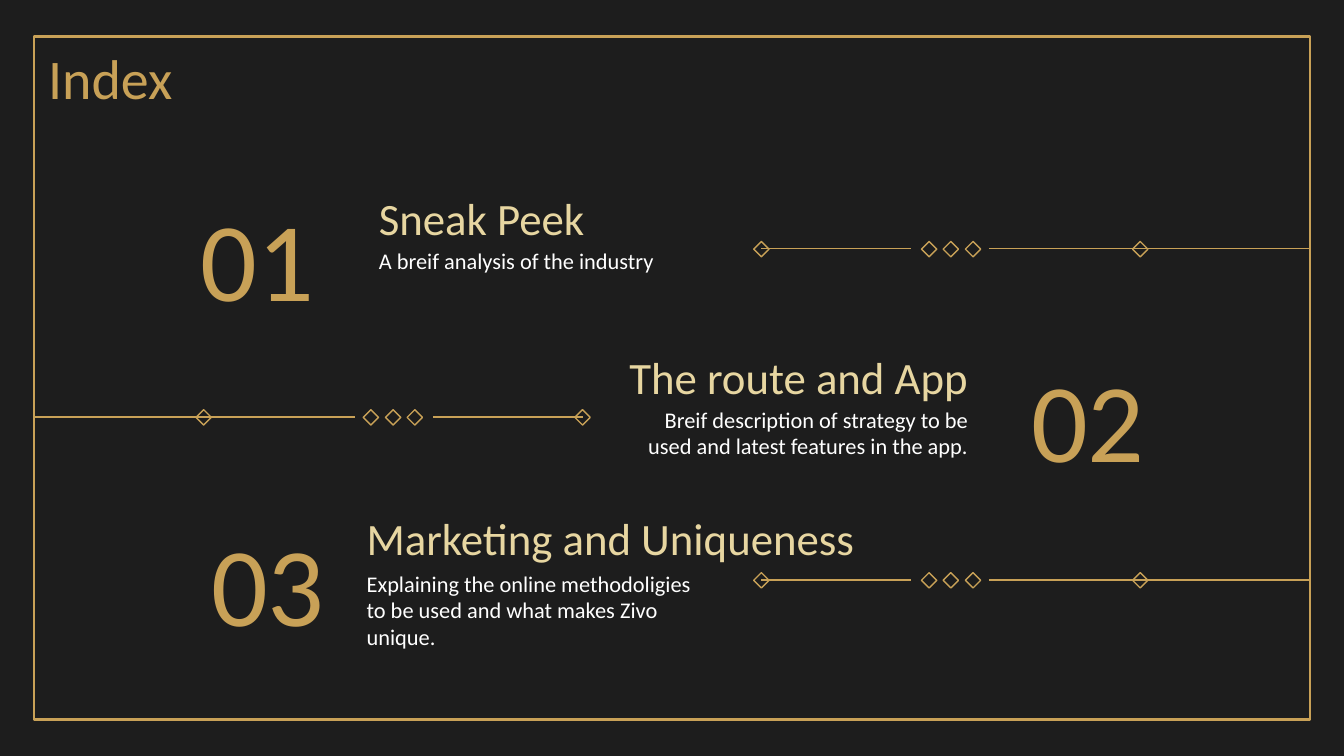
from lxml import etree
from pptx import Presentation
from pptx.dml.color import RGBColor
from pptx.enum.shapes import MSO_CONNECTOR, MSO_SHAPE
from pptx.enum.text import MSO_ANCHOR, MSO_AUTO_SIZE, PP_ALIGN
from pptx.oxml.ns import qn
from pptx.util import Cm, Pt

STRAIGHT = MSO_CONNECTOR.STRAIGHT
RECTANGLE, DIAMOND = MSO_SHAPE.RECTANGLE, MSO_SHAPE.DIAMOND
TOP, MIDDLE, BOTTOM = MSO_ANCHOR.TOP, MSO_ANCHOR.MIDDLE, MSO_ANCHOR.BOTTOM
LEFT, CENTER, RIGHT = PP_ALIGN.LEFT, PP_ALIGN.CENTER, PP_ALIGN.RIGHT
NO_AUTOFIT = MSO_AUTO_SIZE.NONE

COLORS = {
    "background": "1D1D1D",
    "gold": "C8A157",
    "cream": "E7D6A1",
    "white": "FFFFFF",
}
FONT = "Calibri"


def write_text(shape, box, text, size, color, align, anchor, margin=0.25):
    """Place a text shape and give it one formatted run."""
    shape.left, shape.top, shape.width, shape.height = (Cm(value) for value in box)
    frame = shape.text_frame
    frame.word_wrap = True
    frame.auto_size = NO_AUTOFIT
    frame.vertical_anchor = anchor
    frame.margin_left = frame.margin_right = Cm(0.25)
    frame.margin_top = frame.margin_bottom = Cm(margin)
    paragraph = frame.paragraphs[0]
    paragraph.alignment = align
    run = paragraph.add_run()
    run.text = text
    run.font.name = FONT
    run.font.size = Pt(size)
    run.font.color.rgb = RGBColor.from_string(COLORS[color])


def add_outline(kind, left, top, width, height, weight):
    """Add an unfilled preset shape with a gold outline."""
    shape = slide.shapes.add_shape(kind, Cm(left), Cm(top), Cm(width), Cm(height))
    shape.shadow.inherit = False
    shape.fill.background()
    shape.line.color.rgb = RGBColor.from_string(COLORS["gold"])
    shape.line.width = Pt(weight)


presentation = Presentation()
presentation.slide_width = Cm(25.4)
presentation.slide_height = Cm(14.29)
slide = presentation.slides.add_slide(presentation.slide_layouts[5])
slide.background.fill.solid()
slide.background.fill.fore_color.rgb = RGBColor.from_string(COLORS["background"])

# Frame and title
add_outline(RECTANGLE, 0.64, 0.69, 24.12, 12.91, 1.25)
write_text(slide.shapes.title, (0.66, 0.69, 15.27, 1.55), "Index",
           30, "gold", LEFT, TOP, margin=0.13)

# Index entries: number, heading and description, each with its box
entries = [
    ("01", (3.02, 4.06, 3.68, 1.6),
     "Sneak Peek", (6.91, 2.79, 7.32, 2.08),
     "A breif analysis of the industry", (6.91, 4.42, 6.71, 2.08), LEFT),
    ("02", (18.72, 7.09, 3.68, 1.6),
     "The route and App", (11.1, 6.07, 7.44, 1.8),
     "Breif description of strategy to be used and latest features in the app.",
     (11.84, 7.42, 6.71, 2.08), RIGHT),
    ("03", (2.13, 10.19, 5.87, 1.6),
     "Marketing and Uniqueness", (6.68, 8.84, 10.19, 2.08),
     "Explaining the online methodoligies to be used and what makes Zivo unique.",
     (6.68, 10.52, 6.71, 2.08), LEFT),
]
for number, number_box, heading, heading_box, description, description_box, align in entries:
    for text, box, size, color, alignment, anchor in [
        (description, description_box, 12, "white", align, TOP),
        (heading, heading_box, 24, "cream", align, BOTTOM),
        (number, number_box, 60, "gold", CENTER, MIDDLE),
    ]:
        write_text(slide.shapes.add_textbox(0, 0, 0, 0), box, text,
                   size, color, alignment, anchor)

# Ornaments run from their inner end out to the frame; the middle one is mirrored
LINE_SPANS = [(0, 2.83), (4.3, 10.37)]
DIAMOND_OFFSETS = [0, 3.17, 3.58, 4, 7.16]
DIAMOND_SIZE = 0.29
for inner_end, y, direction in [(14.39, 4.7, 1), (11.01, 7.88, -1), (14.39, 10.96, 1)]:
    for start, end in LINE_SPANS:
        connector = slide.shapes.add_connector(
            STRAIGHT, Cm(inner_end + direction * start), Cm(y),
            Cm(inner_end + direction * end), Cm(y))
        connector.line.color.rgb = RGBColor.from_string(COLORS["gold"])
        connector.line.width = Pt(0.75)
        etree.SubElement(connector.element.spPr, qn("a:effectLst"))
    for offset in DIAMOND_OFFSETS:
        add_outline(DIAMOND, inner_end + direction * offset - DIAMOND_SIZE / 2,
                    y + 0.01 - DIAMOND_SIZE / 2, DIAMOND_SIZE, DIAMOND_SIZE, 0.75)

presentation.save("out.pptx")
